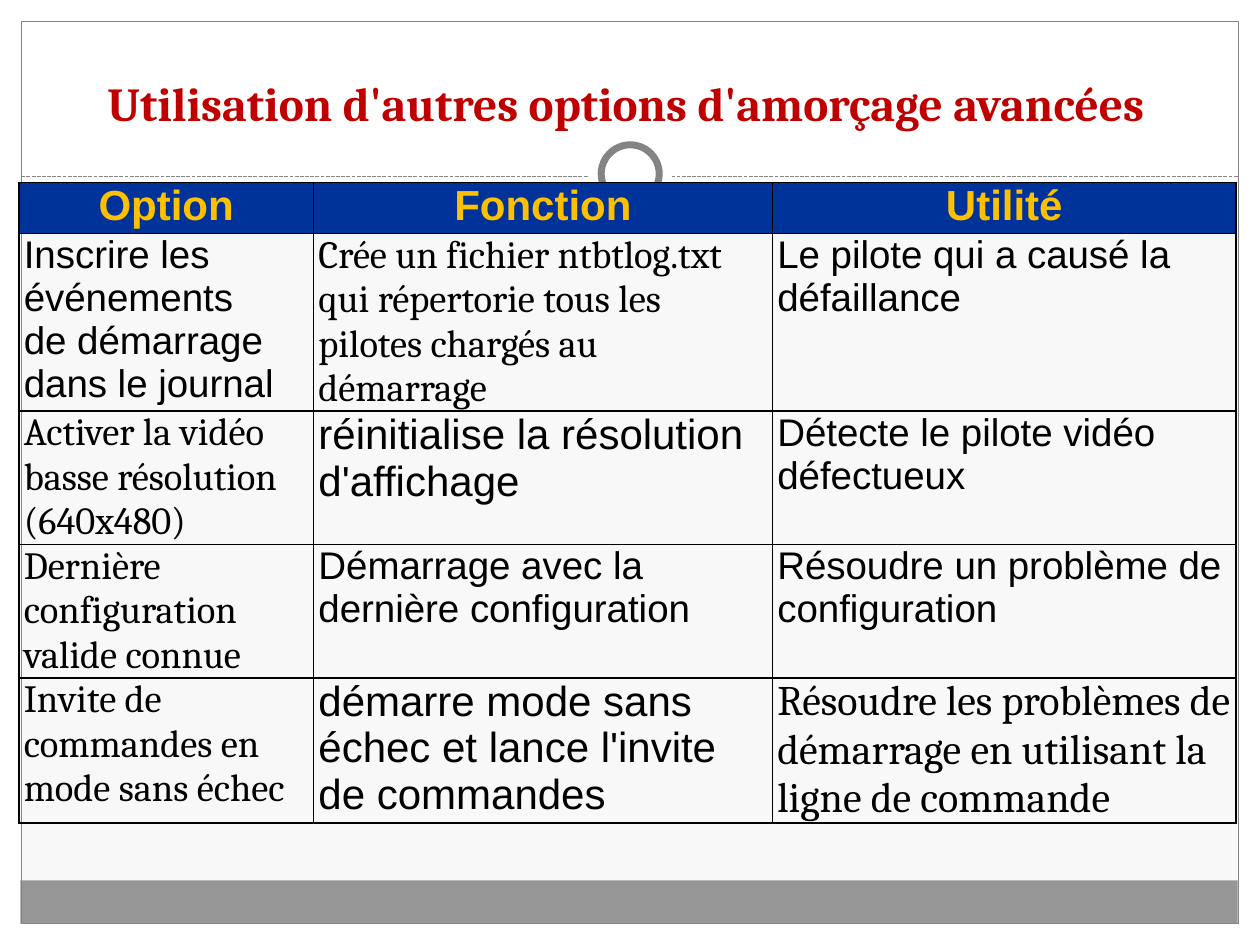
from lxml.etree import SubElement
from pptx import Presentation
from pptx.dml.color import RGBColor
from pptx.enum.dml import MSO_LINE_DASH_STYLE as Dash
from pptx.enum.shapes import MSO_CONNECTOR as Connector, MSO_SHAPE as Shape
from pptx.enum.text import MSO_ANCHOR as Anchor, PP_ALIGN as Align
from pptx.oxml import parse_xml
from pptx.oxml.ns import nsdecls, qn
from pptx.util import Cm, Pt

WHITE, GRAY, BLACK = "FFFFFF", "848484", "000000"
SANS, SERIF = "Arial", "Cambria"

COLUMN_WIDTHS = [5.94, 9.25, 9.35]
ROW_HEIGHTS = [1.03, 3.58, 2.69, 2.69, 2.92]
HEADERS = ["Option", "Fonction", "Utilité"]
# Each cell: text, font, size
BODY_ROWS = [
    [("Inscrire les événements\nde démarrage dans le journal", SANS, 22),
     ("Crée un fichier ntbtlog.txt qui répertorie tous les pilotes chargés au démarrage", SERIF, 22),
     ("Le pilote qui a causé la défaillance", SANS, 22)],
    [("Activer la vidéo basse résolution (640x480)", SERIF, 22),
     ("réinitialise la résolution d'affichage", SANS, 24),
     ("Détecte le pilote vidéo défectueux", SANS, 22)],
    [("Dernière configuration valide connue", SERIF, 22),
     ("Démarrage avec la dernière configuration", SANS, 22),
     ("Résoudre un problème de configuration", SANS, 22)],
    [("Invite de commandes en mode sans échec", SERIF, 22),
     ("démarre mode sans échec et lance l'invite de commandes", SANS, 24),
     ("Résoudre les problèmes de démarrage en utilisant la ligne de commande", SERIF, 24)],
]


def color(value):
    return RGBColor.from_string(value)


def style_paragraph(paragraph, font_name, size, text_color, bold=False, align=Align.LEFT):
    paragraph.alignment = align
    font = paragraph.font
    font.name, font.size, font.bold = font_name, Pt(size), bold
    font.color.rgb = color(text_color)


def add_shape(slide, kind, left, top, width, height, fill=None, line=None, line_width=0.75):
    shape = slide.shapes.add_shape(kind, Cm(left), Cm(top), Cm(width), Cm(height))
    shape.shadow.inherit = False
    if fill:
        shape.fill.solid()
        shape.fill.fore_color.rgb = color(fill)
    else:
        shape.fill.background()
    if line:
        shape.line.color.rgb = color(line)
        shape.line.width = Pt(line_width)
    else:
        shape.line.fill.background()


def add_dashed_line(slide, left, right, top):
    line = slide.shapes.add_connector(Connector.STRAIGHT, Cm(left), Cm(top), Cm(right), Cm(top))
    line.line.color.rgb = color(GRAY)
    line.line.width = Pt(0.75)
    line.line.dash_style = Dash.SQUARE_DOT
    SubElement(line._element.spPr, qn("a:effectLst"))


def add_frame(slide):
    # White margins and gray footer band
    for left, top, width, height in [(0, 18.62, 25.4, 0.43), (0, 0, 25.4, 3.86),
                                     (0, 0, 0.43, 19.05), (24.97, 0, 0.43, 19.05)]:
        add_shape(slide, Shape.RECTANGLE, left, top, width, height, WHITE)
    add_shape(slide, Shape.RECTANGLE, 0.41, 17.75, 24.54, 0.87, "969696")
    # Outline, divider and ring
    add_shape(slide, Shape.RECTANGLE, 0.43, 0.43, 24.54, 18.19, line=GRAY)
    add_dashed_line(slide, 0.43, 24.97, 3.56)
    add_shape(slide, Shape.OVAL, 11.85, 2.67, 1.7, 1.7, WHITE)
    add_shape(slide, Shape.OVAL, 12.12, 2.92, 1.17, 1.17, WHITE, GRAY, 4)


def place_title(slide, text):
    title = slide.shapes.title
    title.left, title.top, title.width, title.height = Cm(0.76), Cm(0.66), Cm(23.7), Cm(2.11)
    title.text_frame.text = text
    title.text_frame.vertical_anchor = Anchor.BOTTOM
    style_paragraph(title.text_frame.paragraphs[0], SERIF, 27, "C00000", True, Align.CENTER)
    # Bring the title in front of the frame
    slide.shapes._spTree.append(title._element)


def set_borders(cell):
    properties = cell._tc.get_or_add_tcPr()
    for index, side in enumerate(["lnL", "lnR", "lnT", "lnB"]):
        properties.insert(index, parse_xml(
            f'<a:{side} {nsdecls("a")} w="{Pt(1)}"><a:solidFill>'
            f'<a:srgbClr val="{BLACK}"/></a:solidFill></a:{side}>'))


def fill_cell(cell, text, font_name, size, text_color=BLACK, fill=None,
              bold=False, align=Align.LEFT):
    cell.margin_left = cell.margin_right = Cm(0.1)
    cell.margin_top = cell.margin_bottom = 0
    cell.text_frame.text = text
    for paragraph in cell.text_frame.paragraphs:
        style_paragraph(paragraph, font_name, size, text_color, bold, align)
    if fill:
        cell.fill.solid()
        cell.fill.fore_color.rgb = color(fill)
    else:
        cell.fill.background()
    set_borders(cell)


def add_options_table(slide):
    table = slide.shapes.add_table(
        len(ROW_HEIGHTS), len(COLUMN_WIDTHS), Cm(0.38), Cm(3.68),
        Cm(sum(COLUMN_WIDTHS)), Cm(sum(ROW_HEIGHTS))).table
    table.first_row = table.horz_banding = False
    for column, width in zip(table.columns, COLUMN_WIDTHS):
        column.width = Cm(width)
    for row, height in zip(table.rows, ROW_HEIGHTS):
        row.height = Cm(height)
    for index, header in enumerate(HEADERS):
        fill_cell(table.cell(0, index), header, SANS, 24, "FFC000", "003399", True, Align.CENTER)
    for row_index, row in enumerate(BODY_ROWS, start=1):
        for column_index, content in enumerate(row):
            fill_cell(table.cell(row_index, column_index), *content)


def main():
    presentation = Presentation()
    presentation.slide_width, presentation.slide_height = Cm(25.4), Cm(19.05)
    slide = presentation.slides.add_slide(presentation.slide_layouts[5])
    slide.background.fill.solid()
    slide.background.fill.fore_color.rgb = color("F8F8F8")
    add_frame(slide)
    place_title(slide, "Utilisation d'autres options d'amorçage avancées")
    add_options_table(slide)
    presentation.save("out.pptx")


if __name__ == "__main__":
    main()
